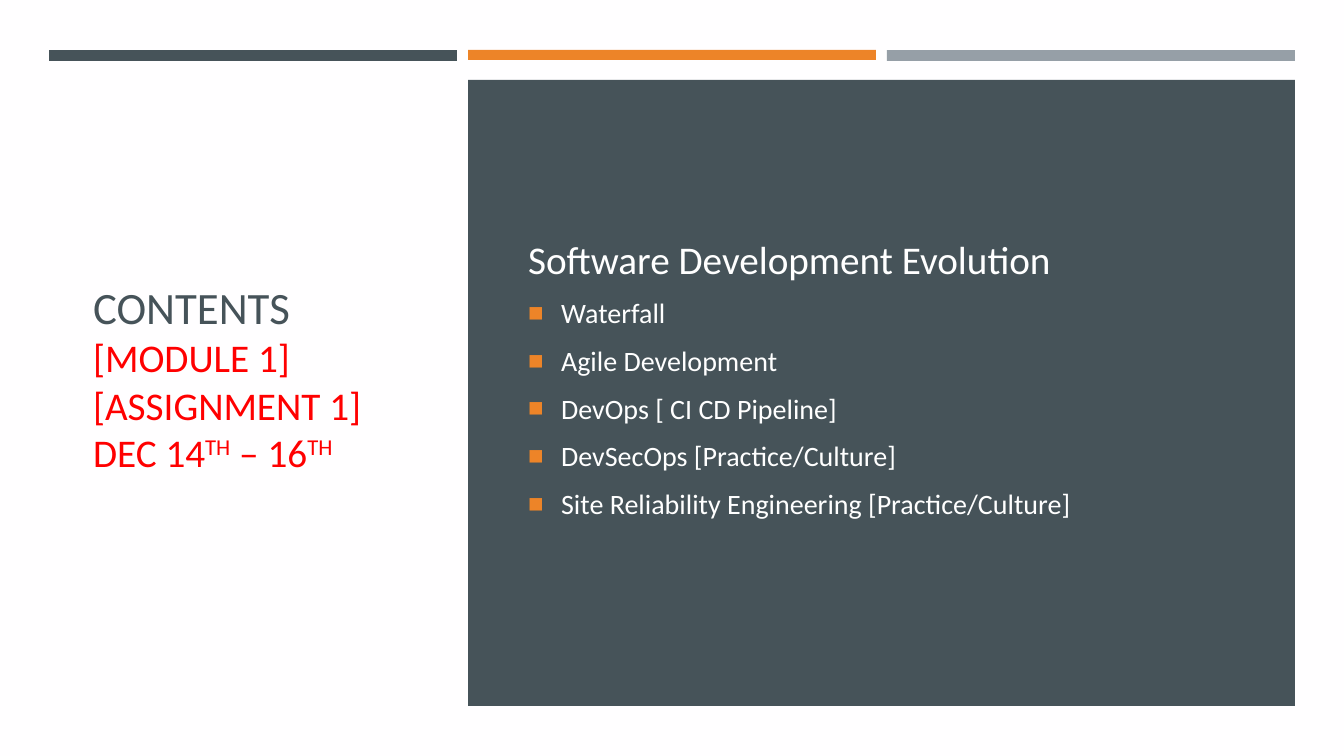
from lxml.etree import SubElement
from pptx import Presentation
from pptx.dml.color import RGBColor
from pptx.enum.shapes import MSO_SHAPE
from pptx.enum.text import MSO_ANCHOR, MSO_AUTO_SIZE, PP_ALIGN
from pptx.oxml.ns import qn
from pptx.util import Emu, Pt

THEME = {
    "font": "Calibri",
    "backdrop": "3D3D3D", "paper": "FFFEFF", "slate": "465359",
    "orange": "ED8428", "gray": "969FA7", "red": "FF0000", "white": "FFFFFF",
    "title": 32, "large": 28, "list": 20, "bullet_pct": 92, "after": 6,
}
PX = 914400 / 100.8
W, H = 1344, 756
BAR_LEFT, BAR_TOP, BAR_WIDTH, BAR_STEP = 49, 50, 408, 419
INDENT = 33


def add_block(box, color):
    shape = s.shapes.add_shape(MSO_SHAPE.RECTANGLE, *(Emu(round(v * PX)) for v in box))
    shape.shadow.inherit = False
    shape.fill.solid()
    shape.fill.fore_color.rgb = RGBColor.from_string(THEME[color])
    shape.line.fill.background()


def place(holder, box):
    """Position a placeholder, bring it to the front and return its text frame."""
    holder.left, holder.top, holder.width, holder.height = (Emu(round(v * PX)) for v in box)
    holder.element.getparent().append(holder.element)
    tf = holder.text_frame
    tf.word_wrap = True
    tf.auto_size = MSO_AUTO_SIZE.NONE
    tf.vertical_anchor = MSO_ANCHOR.MIDDLE
    return tf


prs = Presentation()
prs.slide_width, prs.slide_height = Emu(round(W * PX)), Emu(round(H * PX))
s = prs.slides.add_slide(prs.slide_layouts[1])
s.background.fill.solid()
s.background.fill.fore_color.rgb = RGBColor.from_string(THEME["backdrop"])
add_block((0, 0, W, H), "paper")

# Title: one paragraph with line breaks and raised ordinals
tf = place(s.shapes.title, (83, 118, 337, 519))
tf.text = "CONTENTS\v[MODULE 1]\v[ASSIGNMENT 1]\vDEC 14"
p = tf.paragraphs[0]
p.alignment = PP_ALIGN.LEFT
for text in ("TH", " – 16", "TH"):
    p.add_run().text = text
for i, r in enumerate(p.runs):
    r.font.name = THEME["font"]
    r.font.size = Pt(THEME["large" if i else "title"])
    r.font.color.rgb = RGBColor.from_string(THEME["red" if i else "slate"])
    if r.text == "TH":
        r.font._element.set("baseline", "30000")
for i, br in enumerate(p._p.findall(qn("a:br"))):
    SubElement(br, qn("a:rPr"), sz=str(THEME["large" if i else "title"] * 100))

# Color bars and content panel
for i, (color, height) in enumerate((("slate", 11), ("orange", 10), ("gray", 11))):
    add_block((BAR_LEFT + i * BAR_STEP, BAR_TOP, BAR_WIDTH, height), color)
add_block((BAR_LEFT + BAR_STEP, 80, BAR_STEP + BAR_WIDTH, 626), "slate")

# Heading followed by a bulleted list
tf = place(s.placeholders[1], (518, 118, 728, 519))
tf.text = "\n".join((
    "Software Development Evolution",
    "Waterfall",
    "Agile Development",
    "DevOps [ CI CD Pipeline]",
    "DevSecOps [Practice/Culture]",
    "Site Reliability Engineering [Practice/Culture]",
))
for i, p in enumerate(tf.paragraphs):
    p.space_after = Pt(THEME["after"])
    font = p.runs[0].font
    font.name = THEME["font"]
    font.size = Pt(THEME["list" if i else "large"])
    font.color.rgb = RGBColor.from_string(THEME["white"])
    pPr = p._p.get_or_add_pPr()
    indent = round(INDENT * PX) if i else 0
    pPr.set("marL", str(indent))
    pPr.set("indent", str(-indent))
    if i:
        SubElement(SubElement(pPr, qn("a:buClr")), qn("a:srgbClr"), val=THEME["orange"])
        SubElement(pPr, qn("a:buSzPct"), val=str(THEME["bullet_pct"] * 1000))
        SubElement(pPr, qn("a:buFont"), typeface="Arial")
        SubElement(pPr, qn("a:buChar"), char="■")
    else:
        SubElement(pPr, qn("a:buNone"))

prs.save("out.pptx")
